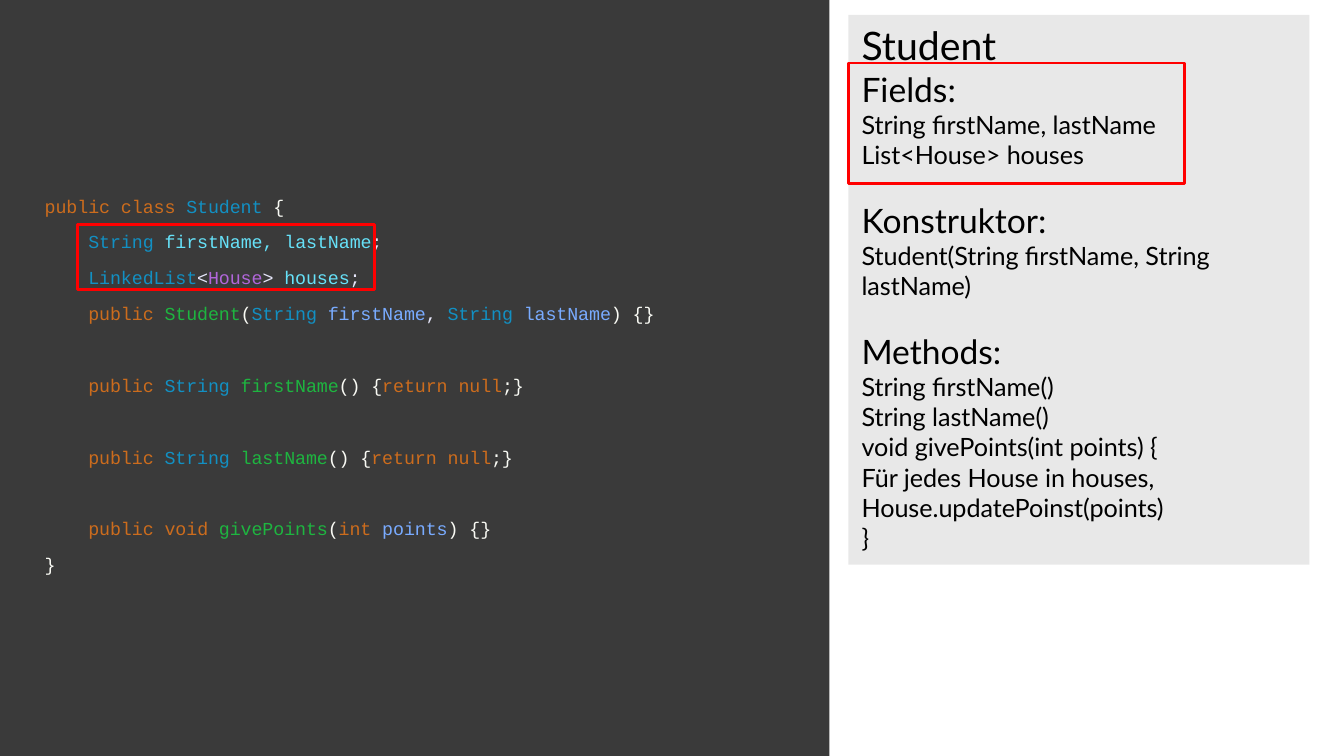
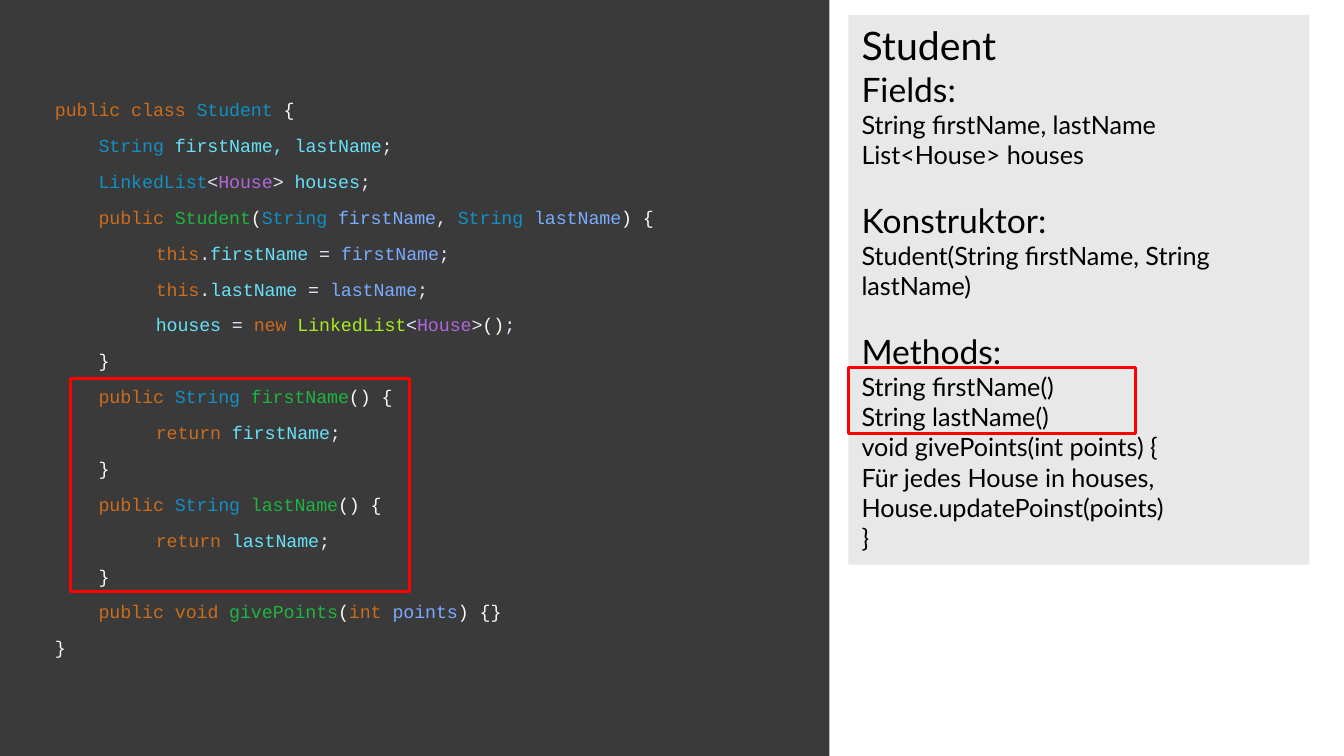
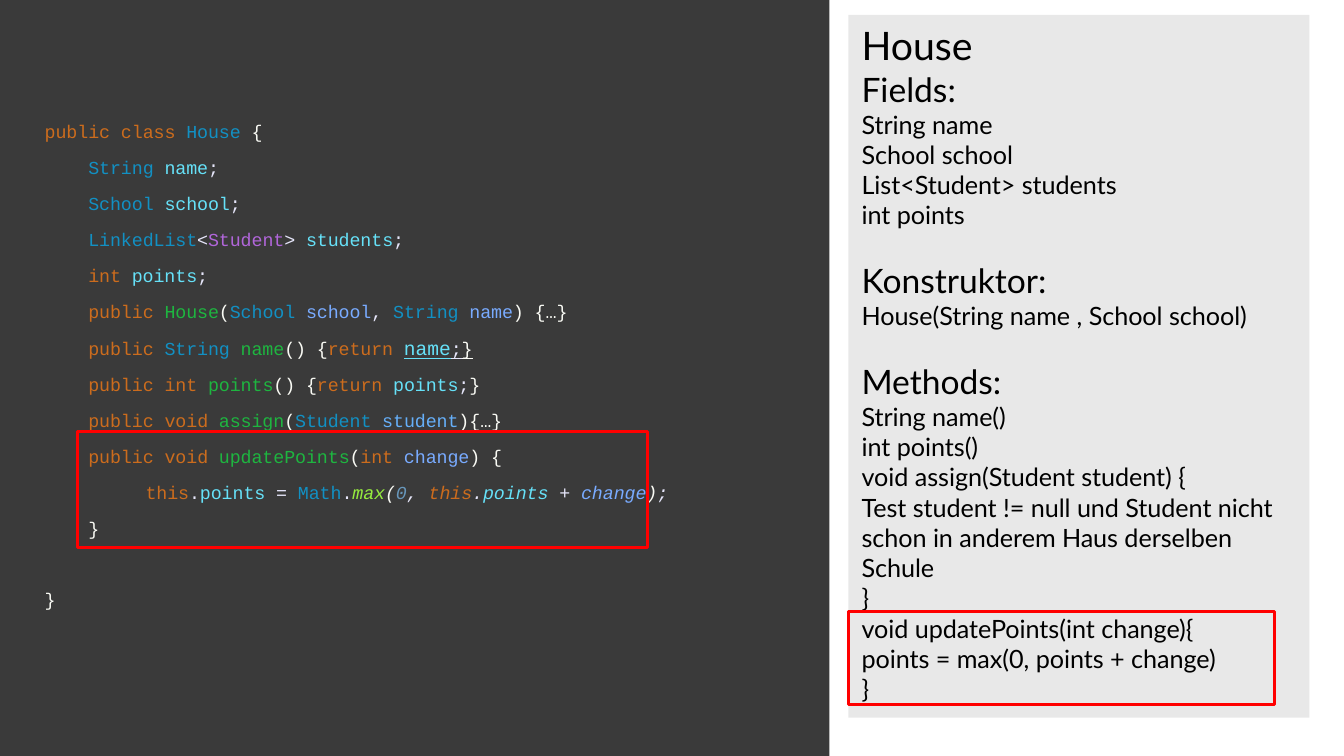
from lxml import etree
from pptx import Presentation
from pptx.dml.color import RGBColor
from pptx.enum import shapes, text
from pptx.oxml import ns
from pptx.util import Pt

COLORS = {
    "panel": "3A3A3A", "card": "E8E8E8", "ink": "000000", "highlight": "FF0000",
    "keyword": "CC6C1D", "type": "1290C3", "field": "66E1F8", "generic": "B166DA",
    "method": "1EB540", "parameter": "79ABFF", "argument": "66AFF9",
    "number": "6897BB", "static": "96EC3F", "constructor": "A7EC21",
    "bracket": "F9FAF4", "mark": "E6E6FA",
}
CODE_FONT, CARD_FONT = "Courier New", "Lato"
CODE_SIZE, CODE_GAP, CODE_PITCH = 9.75, 7.5, 19.2
TAB_STOP = 54
TITLE_SIZE, HEADING_SIZE, CARD_SIZE, CARD_PITCH = 21, 18, 13.5, 16.3
CARD_LEFT, CARD_TOP, CARD_WIDTH = 454.5, 8, 247

# Code pieces are "role/flags:text", joined by "|"; an empty line is a gap.
STUDENT_FIELDS = [
    "keyword:public class |type:Student |bracket:{",
    "type:    String |field:firstName, lastName|mark:;",
    "type:    LinkedList|mark:<|generic:House|mark:> |field:houses|mark:;",
]
STUDENT_CONSTRUCTOR = ("keyword:    public |method:Student|bracket:(|type:String |parameter:firstName"
                       "|mark:, |type:String |parameter:lastName|bracket:) {")
STUDENT_END = [
    "keyword:    public void |method:givePoints|bracket:(|keyword:int |parameter:points|bracket:) {}",
    "bracket:}",
]
FIRST_NAME = "keyword:    public |type:String |method:firstName|bracket:() {"
LAST_NAME = "keyword:    public |type:String |method:lastName|bracket:() {"
RETURN_NULL = "|keyword:return null|bracket:;}"

STUDENT_CARD = ("Student", [
    ("Fields:", ["String firstName, lastName", "List<House> houses"]),
    ("Konstruktor:", ["Student(String firstName, String lastName)"]),
    ("Methods:", ["String firstName()", "String lastName()", "void givePoints(int points) {",
                  "Für jedes House in houses, House.updatePoinst(points)", "}"]),
])
HOUSE_CARD = ("House", [
    ("Fields:", ["String name", "School school", "List<Student> students", "int points"]),
    ("Konstruktor:", ["House(String name , School school)"]),
    ("Methods:", ["String name()", "int points()", "void assign(Student student) {",
                  "Test student != null und Student nicht schon in anderem Haus derselben Schule",
                  "}", "void updatePoints(int change){", "points = max(0, points + change)", "}"]),
])

SLIDES = [
    {
        "panel_height": 416, "card": STUDENT_CARD, "card_height": 294.5,
        "code_box": (19, 62, 391, 252.7), "code_inset": 42.4,
        "code": [
            *STUDENT_FIELDS,
            STUDENT_CONSTRUCTOR + "}",
            "",
            FIRST_NAME + RETURN_NULL,
            "",
            LAST_NAME + RETURN_NULL,
            "",
            *STUDENT_END,
        ],
        "highlights": [(CARD_LEFT, 33.8, 180, 64.6), (41.5, 120.2, 159.3, 34.9)],
    },
    {
        "panel_height": 432.7, "card": STUDENT_CARD, "card_height": 294.5,
        "code_box": (24.5, 8.6, 391, 352), "code_inset": 44.2,
        "code": [
            *STUDENT_FIELDS,
            STUDENT_CONSTRUCTOR,
            "keyword:\tthis|mark:.|field:firstName |mark:= |parameter:firstName|mark:;",
            "keyword:\tthis|mark:.|field:lastName |mark:= |parameter:lastName|mark:;",
            "field:\thouses |mark:= |keyword:new |constructor:LinkedList|mark:<|generic:House"
            "|mark:>|bracket:()|mark:;",
            "bracket:    }",
            FIRST_NAME,
            "keyword:\treturn |field:firstName|mark:;",
            "bracket:    }",
            LAST_NAME,
            "keyword:\treturn |field:lastName|mark:;",
            "bracket:    }",
            *STUDENT_END,
        ],
        "highlights": [(CARD_LEFT, 196.7, 154, 35.6), (37.8, 202.6, 181.8, 114.4)],
    },
    {
        "panel_height": 432.7, "card": HOUSE_CARD, "card_height": 376.5,
        "code_box": (19, 36, 391, 313.2), "code_inset": 28.7,
        "code": [
            "keyword:public class |type:House |bracket:{",
            "type:    String |field:name|mark:;",
            "type:    School |field:school|mark:;",
            "type:    LinkedList|mark:<|generic:Student|mark:> |field:students|mark:;",
            "keyword:    int |field:points|mark:;",
            "keyword:    public |method:House|bracket:(|type:School |parameter:school|mark:, "
            "|type:String |parameter:name|bracket:) {…}",
            "keyword:    public |type:String |method:name|bracket:() {|keyword:return "
            "|field/underline/large:name|mark/underline:;|bracket/underline:}",
            "keyword:    public int |method:points|bracket:() {|keyword:return |field:points"
            "|mark:;|bracket:}",
            "keyword:    public void |method:assign|bracket:(|type:Student "
            "|argument/underline:s|argument:tudent|bracket:){…}",
            "keyword:    public void |method:updatePoints|bracket:(|keyword:int "
            "|parameter:change|bracket:) {",
            "keyword:\tthis|mark:.|field:points |mark:= |type:Math|mark:.|static/italic:max"
            "|bracket/italic:(|number/italic:0|mark/italic:, |keyword/italic:this|mark/italic:."
            "|field/italic:points |mark/italic:+ |parameter/italic:change|bracket/italic:)"
            "|mark/italic:;",
            "bracket:    }",
            "",
            "bracket:}",
        ],
        "highlights": [(CARD_LEFT, 327.8, 228.3, 49.7), (41.5, 231, 305.5, 62.6)],
    },
]


def add_rectangle(slide, bounds, fill=None, line=None):
    shape = slide.shapes.add_shape(shapes.MSO_SHAPE.RECTANGLE, *map(Pt, bounds))
    shape.shadow.inherit = False
    if fill:
        shape.fill.solid()
        shape.fill.fore_color.rgb = RGBColor.from_string(COLORS[fill])
    else:
        shape.fill.background()
    if line:
        shape.line.color.rgb = RGBColor.from_string(COLORS[line])
        shape.line.width = Pt(1.5)
    else:
        shape.line.fill.background()
    return shape


def add_run(paragraph, words, font, size, color, underline=None, italic=None):
    run = paragraph.add_run()
    run.text = words
    run.font.name = font
    run.font.size = Pt(size)
    run.font.color.rgb = RGBColor.from_string(COLORS[color])
    run.font.underline = underline
    run.font.italic = italic


presentation = Presentation()
presentation.slide_width, presentation.slide_height = Pt(720), Pt(405)

for content in SLIDES:
    slide = presentation.slides.add_slide(presentation.slide_layouts[6])
    add_rectangle(slide, (-5, -6.5, 449.3, content["panel_height"]), fill="panel")

    # Class summary card
    card = add_rectangle(slide, (CARD_LEFT, CARD_TOP, CARD_WIDTH, content["card_height"]), fill="card")
    frame = card.text_frame
    frame.word_wrap = True
    frame.vertical_anchor = text.MSO_ANCHOR.TOP
    title, sections = content["card"]
    rows = [(title, TITLE_SIZE, 0)]
    for index, (heading, members) in enumerate(sections):
        rows.append((heading, HEADING_SIZE, CARD_PITCH if index else 0))
        rows += [(member, CARD_SIZE, 0) for member in members]
    for index, (words, size, gap) in enumerate(rows):
        paragraph = frame.add_paragraph() if index else frame.paragraphs[0]
        paragraph.alignment = text.PP_ALIGN.LEFT
        paragraph.space_before = Pt(gap)
        add_run(paragraph, words, CARD_FONT, size, "ink")

    # Code listing
    frame = slide.shapes.add_textbox(*map(Pt, content["code_box"])).text_frame
    frame.word_wrap = True
    frame.vertical_anchor = text.MSO_ANCHOR.TOP
    frame.margin_left = frame.margin_right = Pt(5)
    frame.margin_top, frame.margin_bottom = Pt(content["code_inset"]), Pt(0)
    gap = 0
    for index, line in enumerate(content["code"]):
        if not line:
            gap += CODE_PITCH
            continue
        paragraph = frame.add_paragraph() if index else frame.paragraphs[0]
        paragraph.space_before = Pt(gap)
        gap = CODE_GAP
        if "\t" in line:
            tabs = etree.SubElement(paragraph._p.get_or_add_pPr(), ns.qn("a:tabLst"))
            etree.SubElement(tabs, ns.qn("a:tab"), pos=str(Pt(TAB_STOP)), algn="l")
        for piece in line.split("|"):
            style, _, words = piece.partition(":")
            role, *flags = style.split("/")
            add_run(paragraph, words, CODE_FONT, 10.5 if "large" in flags else CODE_SIZE, role,
                    underline="underline" in flags or None, italic="italic" in flags or None)

    for bounds in content["highlights"]:
        add_rectangle(slide, bounds, line="highlight")

presentation.save("out.pptx")
